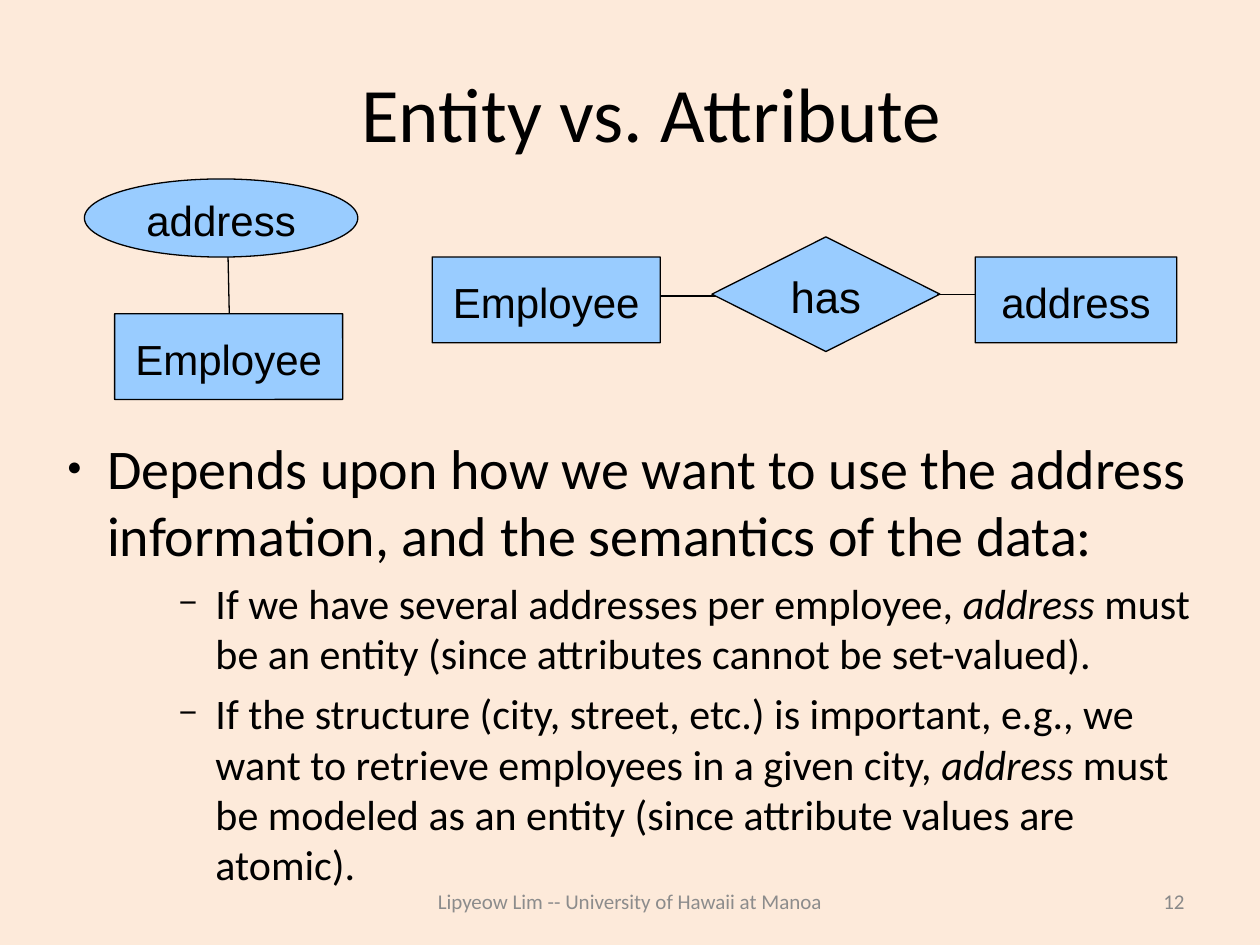
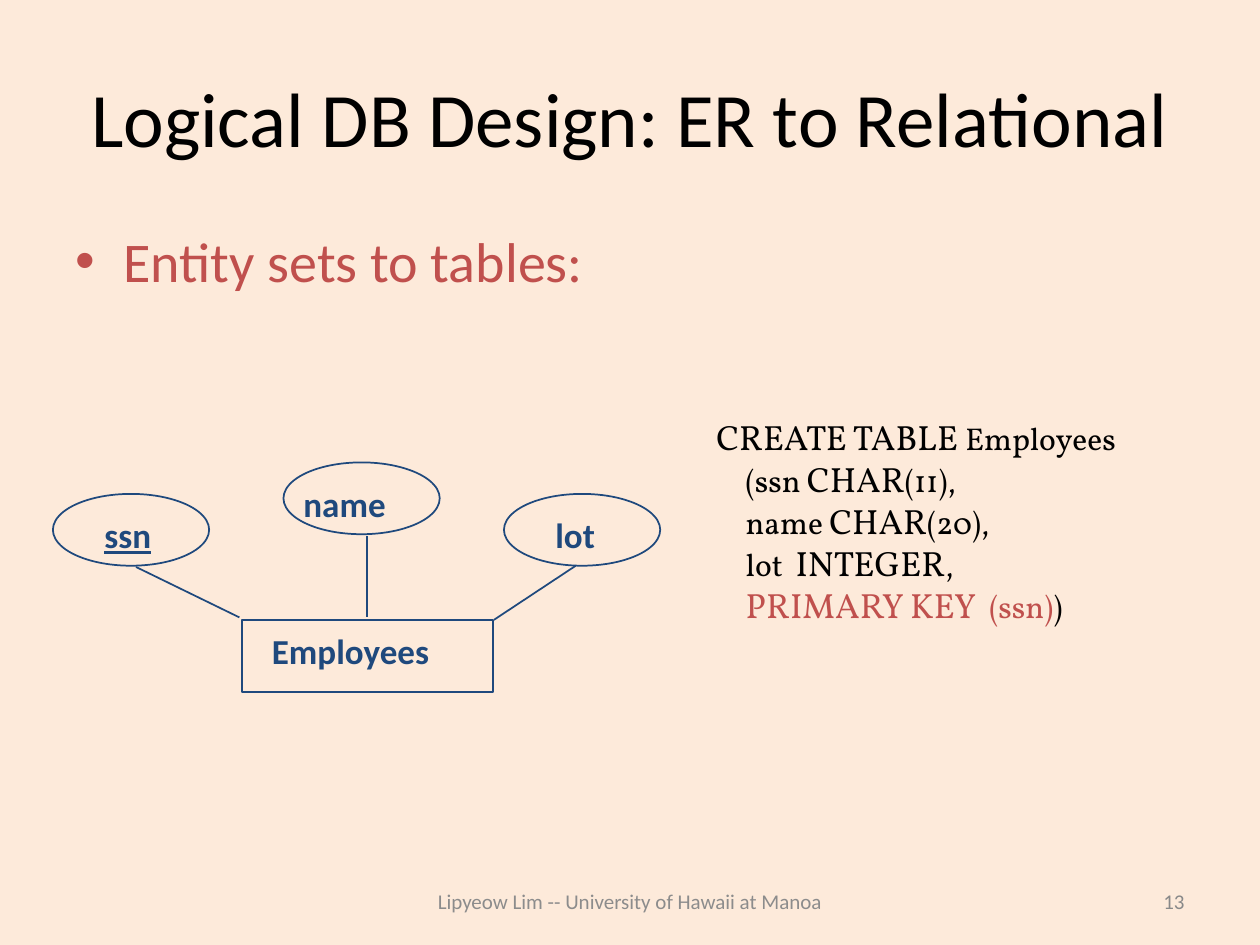
from lxml import etree
from pptx import Presentation
from pptx.dml.color import RGBColor
from pptx.enum.shapes import MSO_CONNECTOR, MSO_SHAPE
from pptx.enum.text import MSO_ANCHOR, MSO_AUTO_SIZE, PP_ALIGN
from pptx.oxml.ns import qn
from pptx.util import Inches, Pt

OVAL, RECT = MSO_SHAPE.OVAL, MSO_SHAPE.RECTANGLE
ROUND, GEM = MSO_SHAPE.ROUNDED_RECTANGLE, MSO_SHAPE.DIAMOND
LINE = MSO_CONNECTOR.STRAIGHT
TOP, MID = MSO_ANCHOR.TOP, MSO_ANCHOR.MIDDLE
LEFT, MIDDLE, RIGHT = PP_ALIGN.LEFT, PP_ALIGN.CENTER, PP_ALIGN.RIGHT
FIXED = MSO_AUTO_SIZE.NONE

CREAM, BLACK, SKY = "FDEADA", "000000", "99CCFF"
NAVY, RED, GREY, PALE = "1F497D", "C0504D", "898989", "8C8C8C"
SANS, PLAIN, SERIF = "Calibri", "Arial", "Vollkorn"
FOOTER = "Lipyeow Lim -- University of Hawaii at Manoa"


def tint(color, value):
    """Give a colour format its hex value."""
    color.rgb = RGBColor.from_string(value)


def style(font, size, color=BLACK, face=SANS):
    """Set the size, colour and typeface of a font."""
    font.size, font.name = Pt(size), face
    tint(font.color, color)


def place(item, box):
    """Move a placeholder to a box in inches."""
    item.left, item.top, item.width, item.height = map(Inches, box)


def frame(item, pads=(0.1, 0.05, 0.1, 0.05), anchor=TOP, wrap=True):
    """Set insets, anchor and wrapping, and return the text frame."""
    text = item.text_frame
    text.auto_size, text.word_wrap, text.vertical_anchor = FIXED, wrap, anchor
    text.margin_left, text.margin_top, text.margin_right, text.margin_bottom = map(Inches, pads)
    return text


def fill_runs(para, parts):
    """Add (text, size, colour, face) runs to a paragraph."""
    for words, *look in parts:
        run = para.add_run()
        run.text = words
        style(run.font, *look)


def label(shapes, box, words, look, align=LEFT, anchor=TOP, wrap=True):
    """Add a text box with one line and return its paragraph."""
    text = frame(shapes.add_textbox(*map(Inches, box)), anchor=anchor, wrap=wrap)
    text.text = words
    para = text.paragraphs[0]
    para.alignment = align
    style(para.runs[0].font, *look)
    return para


def outline(shapes, kind, box, color, width, fill=None):
    """Add an outlined shape, filled or hollow."""
    item = shapes.add_shape(kind, *map(Inches, box))
    item.shadow.inherit = False
    if fill:
        item.fill.solid()
        tint(item.fill.fore_color, fill)
    else:
        item.fill.background()
    tint(item.line.color, color)
    item.line.width = Pt(width)
    return item


def link(shapes, start, end, color, width):
    """Add a straight line between two points."""
    item = shapes.add_connector(LINE, *map(Inches, (*start, *end)))
    tint(item.line.color, color)
    item.line.width = Pt(width)
    etree.SubElement(item.element.spPr, qn("a:effectLst"))


def bullet(para, mark, percent, left, hang):
    """Give a paragraph a bullet and a hanging indent."""
    props = para._p.get_or_add_pPr()
    props.set("marL", str(Inches(left)))
    props.set("indent", str(Inches(-hang)))
    etree.SubElement(props, qn("a:buSzPct")).set("val", str(percent * 1000))
    etree.SubElement(props, qn("a:buFont")).set("typeface", PLAIN)
    etree.SubElement(props, qn("a:buChar")).set("char", mark)


def add_slide(deck, title, number, box, pads):
    """Add a slide with title, footer and page number."""
    slide = deck.slides.add_slide(deck.slide_layouts[1])
    head = slide.shapes.title
    place(head, box)
    text = frame(head, pads, MID)
    text.text = title
    text.paragraphs[0].alignment = MIDDLE
    style(text.paragraphs[0].runs[0].font, 44)
    label(slide.shapes, (3, 6.95, 4, 0.4), FOOTER, (12, PALE), MIDDLE, MID)
    label(slide.shapes, (7.17, 6.95, 2.33, 0.4), number, (12, GREY), RIGHT, MID)
    return slide


def node(shapes, kind, box, words, size=24, wrap=True):
    """Add a filled diagram node with a centred name."""
    item = outline(shapes, kind, box, BLACK, 0.75, SKY)
    if kind == ROUND:
        item.adjustments[0] = 0.002
    para = frame(item, (0.09, 0.07, 0.09, 0.04), MID, wrap).paragraphs[0]
    para.alignment = MIDDLE
    fill_runs(para, [(words, size, BLACK, PLAIN)])


def field_form(shapes, x, y):
    """Draw address as an attribute of Employee."""
    node(shapes, ROUND, (x + 0.24, y + 1.07, 1.81, 0.68), "Employee")
    node(shapes, OVAL, (x, y, 2.17, 0.62), "address")
    link(shapes, (x + 1.14, y + 0.62), (x + 1.15, y + 1.07), BLACK, 0.75)


def link_form(shapes, x, y):
    """Draw address as an entity tied to Employee."""
    node(shapes, ROUND, (x, y + 0.16, 1.81, 0.68), "Employee")
    link(shapes, (x + 1.81, y + 0.47), (x + 2.49, y + 0.47), BLACK, 0.75)
    node(shapes, GEM, (x + 2.22, y, 1.81, 0.91), "has", 25, False)
    link(shapes, (x + 4.01, y + 0.46), (x + 4.69, y + 0.46), BLACK, 0.75)
    node(shapes, ROUND, (x + 4.31, y + 0.16, 1.6, 0.68), "address")


def advice(body, box):
    """Fill the body with the point and its two cases."""
    place(body, box)
    text = frame(body, (0.09, 0.04, 0.09, 0.04))
    first = text.paragraphs[0]
    bullet(first, "●", 45, 0.43, 0.32)
    first.space_before = Pt(0)
    fill_runs(first, [("Depends upon how we want to use the address information, "
                       "and the semantics of the data:", 32)])
    cases = [
        ("If we have several addresses per employee, ",
         " must be an entity (since attributes cannot be set-valued)."),
        ("If the structure (city, street, etc.) is important, e.g., we want to "
         "retrieve employees in a given city, ",
         " must be modeled as an entity (since attribute values are atomic)."),
    ]
    for start, end in cases:
        para = text.add_paragraph()
        para.level = 2
        bullet(para, "−", 75, 1.29, 0.29)
        para.space_before = Pt(5.4)
        fill_runs(para, [(start, 24), ("address", 24), (end, 24)])
        para.runs[1].font.italic = True


def entity(shapes, x, y):
    """Draw Employees with its three attributes."""
    group = shapes.add_group_shape().shapes
    look = (20, NAVY)
    outline(group, RECT, (x + 1.5, y + 1.25, 1.99, 0.57), NAVY, 1)
    label(group, (x + 1.64, y + 1.28, 1.66, 0.43), "Employees", look, wrap=False).font.bold = True
    ovals = [("ssn", 0, 0.25, 0.31, 0.68), ("name", 1.83, 0, 0.06, 0.92),
             ("lot", 3.58, 0.25, 0.31, 0.54)]
    for name, dx, dy, inset, width in ovals:
        outline(group, OVAL, (x + dx, y + dy, 1.24, 0.57), NAVY, 1)
        para = label(group, (x + dx + inset, y + dy + 0.11, width, 0.43), name, look, wrap=False)
        para.font.bold = True
        font = para.runs[0].font
        font.bold = True
        if name == "ssn":
            font.underline = True
    for a, b, c, d in [(0.66, 0.83, 1.48, 1.23), (2.49, 0.58, 2.49, 1.23),
                       (3.5, 1.25, 4.15, 0.82)]:
        link(group, (x + a, y + b), (x + c, y + d), NAVY, 1)
    for item in group:
        if item.has_text_frame and item.text_frame.text == "Employees":
            item.text_frame.paragraphs[0].runs[0].font.bold = True


def code(shapes, box):
    """Write the table definition, with the key in red."""
    text = frame(shapes.add_textbox(*map(Inches, box)))
    pad = " " * 18
    lines = [
        [(" " * 12 + "CREATE TABLE ", 20), ("Employees", 18)],
        [(pad + "(ssn ", 18), ("CHAR", 20), ("(11),", 18)],
        [(pad + "name ", 18), ("CHAR", 20), ("(20),", 18)],
        [(pad + "lot  ", 18), ("INTEGER", 20), (",", 18)],
        [(pad, 18), ("PRIMARY KEY  ", 20, RED), ("(ssn)", 18, RED), (")", 18)],
    ]
    for index, parts in enumerate(lines):
        para = text.add_paragraph() if index else text.paragraphs[0]
        fill_runs(para, [(words, size, *(color or [BLACK]), SERIF)
                         for words, size, *color in parts])


def choice(deck):
    """Build the slide on entity or attribute."""
    slide = add_slide(deck, "Entity vs. Attribute", "12",
                      (0.92, 0.28, 8.5, 1.21), (0.09, 0.04, 0.09, 0.04))
    advice(slide.placeholders[1], (0.33, 3.4, 9.42, 3.87))
    field_form(slide.shapes, 0.67, 1.42)
    link_form(slide.shapes, 3.43, 1.88)


def design(deck):
    """Build the slide on entity sets as tables."""
    slide = add_slide(deck, "Logical DB Design: ER to Relational", "13",
                      (0.5, 0.3, 9, 1.25), (0.1, 0.05, 0.1, 0.05))
    body = slide.placeholders[1]
    place(body, (0.5, 1.75, 9, 4.95))
    para = frame(body).paragraphs[0]
    bullet(para, "•", 100, 0.38, 0.38)
    para.space_before = Pt(0)
    fill_runs(para, [("Entity sets to tables:", 32, RED)])
    code(slide.shapes, (4.92, 3.25, 4.84, 2.09))
    entity(slide.shapes, 0.42, 3.67)


def main():
    """Build and save both slides."""
    deck = Presentation()
    deck.slide_width, deck.slide_height = Inches(10), Inches(7.5)
    back = deck.slide_master.background.fill
    back.solid()
    tint(back.fore_color, CREAM)
    choice(deck)
    design(deck)
    deck.save("out.pptx")


if __name__ == "__main__":
    main()
